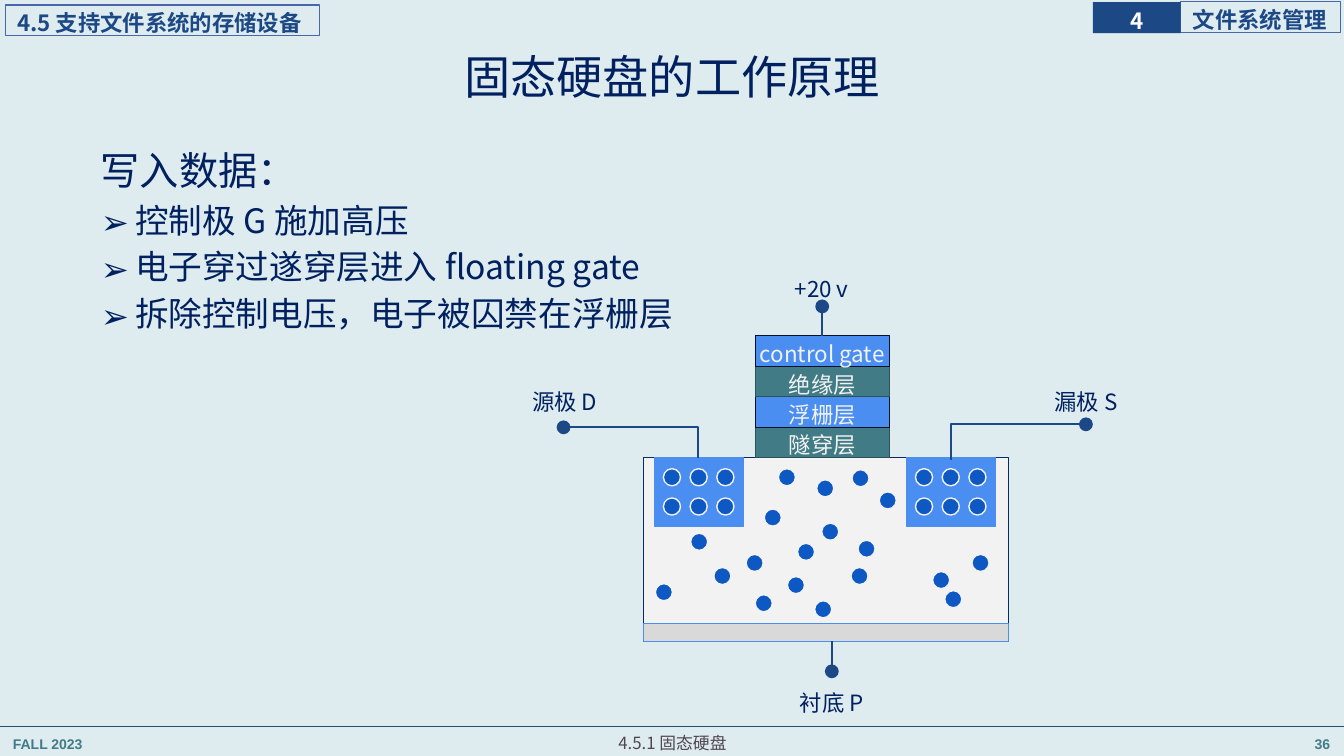
"""Build the slide on how a solid-state drive writes data."""
import itertools

import pptx
import pptx.dml.color
import pptx.enum.shapes
import pptx.enum.text
import pptx.oxml
import pptx.oxml.ns
import pptx.util

SHAPE = pptx.enum.shapes.MSO_SHAPE
CONNECTOR = pptx.enum.shapes.MSO_CONNECTOR
ALIGN = pptx.enum.text.PP_ALIGN
ANCHOR = pptx.enum.text.MSO_ANCHOR

THEME = {
    "background": "DEECEF", "ink": "002060", "navy": "1C4885", "white": "FFFFFF",
    "frame": "4A66AC", "rule": "234F77", "teal": "417B85", "teal_edge": "2B5259",
    "blue": "4A8EF2", "blue_edge": "031227", "pale": "F2F2F2", "body_edge": "072C62",
    "metal": "D9D9D9", "electron": "0E58C4", "topic": "504652",
    "cjk": "Noto Sans CJK SC", "latin": "Arial",
    "title": 33, "lead": 28, "bullet": 24, "label": 16, "small": 12, "footer": 10,
}
WIDTH, HEIGHT = 13.33, 7.5
MARGIN = 0.92

TITLE = "固态硬盘的工作原理"
LEAD = "写入数据："
STEPS = ["控制极 G 施加高压", "电子穿过遂穿层进入 floating gate", "拆除控制电压，电子被囚禁在浮栅层"]
SECTION = "4.5 支持文件系统的存储设备"
CHAPTER_NUMBER, CHAPTER = "4", "文件系统管理"
TOPIC = "4.5.1 固态硬盘"
FOOTERS = [("FALL 2023", 0.03, ALIGN.LEFT), ("36", 10.51, ALIGN.RIGHT)]
LAYERS = [("control gate", "blue"), ("绝缘层", "teal"), ("浮栅层", "blue"), ("隧穿层", "teal")]
TERMINALS = [("+20 v", 8.15, 2.63), ("源极 D", 5.6, 3.75), ("漏极 S", 10.77, 3.75), ("衬底 P", 8.25, 6.73)]
ELECTRONS = [
    (7.49, 5.9), (6.5, 5.79), (8.08, 5.96), (9.37, 5.86), (9.25, 5.67), (9.64, 5.5),
    (8.72, 4.88), (8.45, 4.66), (8.1, 4.76), (7.72, 4.65), (7.58, 5.05), (6.85, 5.29),
    (7.08, 5.63), (7.4, 5.5), (7.81, 5.72), (8.44, 5.63), (8.51, 5.36), (8.15, 5.19), (7.91, 5.39),
]

BODY = (6.38, 4.54, 3.62, 1.82)
METAL_HEIGHT = 0.17
ELECTRODE = (0.88, 0.68)
ELECTRODE_LEFTS = (6.49, 8.99)
ELECTRON_SIZE, ELECTRON_PITCH = 0.17, (0.265, 0.29)
LAYER_LEFT, LAYER_WIDTH, LAYER_HEIGHT = 7.49, 1.33, 0.3025

inch, point = pptx.util.Inches, pptx.util.Pt
deck = pptx.Presentation()
deck.slide_width, deck.slide_height = inch(WIDTH), inch(HEIGHT)
slide = deck.slides.add_slide(deck.slide_layouts[6])


def color(role):
    return pptx.dml.color.RGBColor.from_string(THEME[role])


def element(tag, **values):
    node = pptx.oxml.parse_xml(f"<a:{tag} {pptx.oxml.ns.nsdecls('a')}/>")
    for key, value in values.items():
        node.set(key, str(value))
    return node


def apply(target, formats):
    for key, value in formats.items():
        setattr(target, key, value)


def write(holder, lines, role, size, align=ALIGN.LEFT, anchor=ANCHOR.TOP, insets=(0.1, 0.05, 0.1, 0.05),
          font="cjk", bold=False, wrap=True, spacing=1.2, before=None, after=None):
    frame = holder.text_frame
    left, top, right, bottom = map(inch, insets)
    apply(frame, {"word_wrap": wrap, "vertical_anchor": anchor, "margin_left": left,
                  "margin_top": top, "margin_right": right, "margin_bottom": bottom})
    frame.text = "\n".join(lines)
    gap = THEME[size] * 0.1
    for paragraph in frame.paragraphs:
        apply(paragraph, {"alignment": align, "line_spacing": spacing,
                          "space_before": point(gap if before is None else before),
                          "space_after": point(gap if after is None else after)})
        run = paragraph.runs[0]
        apply(run.font, {"name": THEME[font], "size": point(THEME[size]), "bold": bold})
        run.font.color.rgb = color(role)
        run.font._element.append(element("ea", typeface=THEME[font]))
    return frame


def draw(box, fill=None, edge=None, kind=SHAPE.RECTANGLE, weight=0.75, parent=slide):
    shape = parent.shapes.add_shape(kind, *map(inch, box))
    shape.shadow.inherit = False
    if fill:
        shape.fill.solid()
        shape.fill.fore_color.rgb = color(fill)
    else:
        shape.fill.background()
    if edge:
        shape.line.color.rgb = color(edge)
        shape.line.width = point(weight)
    else:
        shape.line.fill.background()
    return shape


def note(box, lines, role, size, **formats):
    return write(slide.shapes.add_textbox(*map(inch, box)), lines, role, size, **formats)


def electron(left, top, parent=slide):
    draw((left, top, ELECTRON_SIZE, ELECTRON_SIZE), "electron", "pale", SHAPE.OVAL, 1, parent)


def wire(start, end, role="navy", weight=1.25, kind=CONNECTOR.STRAIGHT, bend=None, terminal=True):
    line = slide.shapes.add_connector(kind, *map(inch, (*start, *end)))
    line.line.color.rgb = color(role)
    line.line.width = point(weight)
    if terminal:
        line.line._get_or_add_ln().append(element("tailEnd", type="oval", w="lg", len="lg"))
    line._element.spPr.append(element("effectLst"))
    if bend is not None:
        guides = line._element.spPr.prstGeom.get_or_add_avLst()
        guides.append(element("gd", name="adj1", fmla=f"val {bend}"))
    return line


slide.background.fill.solid()
slide.background.fill.fore_color.rgb = color("background")

for words, left, align in FOOTERS:
    note((left, 7.21, 2.78, 0.31), [words], "teal", "footer", align=align, font="latin", bold=True)
heading = {"anchor": ANCHOR.MIDDLE, "insets": (0.12, 0, 0, 0), "bold": True}
write(draw((11.71, 0.02, 1.59, 0.3), edge="frame"), [CHAPTER], "navy", "label", align=ALIGN.JUSTIFY, **heading)
write(draw((10.84, 0.02, 0.87, 0.31), "navy"), [CHAPTER_NUMBER], "white", "label",
      align=ALIGN.CENTER, **{**heading, "insets": (0, 0, 0, 0), "wrap": False})
write(draw((0.05, 0.05, 3.12, 0.3), edge="frame"), [SECTION], "navy", "label", **heading)
wire((0, 7.21), (WIDTH, 7.21), "rule", 0.5, terminal=False)

prose = {"insets": (0.08, 0.04, 0.08, 0.04), "spacing": 0.9, "after": 0}
column = WIDTH - 2 * MARGIN
points = note((MARGIN, 1.46, column, 5.64), [LEAD, *STEPS], "ink", "lead", before=7.5, **prose)
for step in points.paragraphs[1:]:
    step.runs[0].font.size = point(THEME["bullet"])
    properties = step._p.get_or_add_pPr()
    properties.set("marL", str(inch(0.34)))
    properties.set("indent", str(-inch(0.34)))
    properties.append(element("buFont", typeface=THEME["cjk"]))
    properties.append(element("buChar", char="➢"))
note((MARGIN, 0.4, column, 0.77), [TITLE], "ink", "title", align=ALIGN.CENTER,
     anchor=ANCHOR.MIDDLE, before=0, **prose)
note((1.67, 7.18, 10, 0.32), [TOPIC], "topic", "small", align=ALIGN.CENTER)

body_left, body_top, body_width, body_height = BODY
body_bottom = body_top + body_height
draw(BODY, "pale", "body_edge")
draw((body_left, body_bottom - METAL_HEIGHT, body_width, METAL_HEIGHT), "metal", "blue")
for left in ELECTRODE_LEFTS:
    electrode = slide.shapes.add_group_shape()
    draw((left, body_top, *ELECTRODE), "blue", "blue", parent=electrode)
    for row, place in itertools.product(range(2), range(3)):
        electron(left + 0.09 + place * ELECTRON_PITCH[0], body_top + 0.11 + row * ELECTRON_PITCH[1], electrode)
for spot in ELECTRONS:
    electron(*spot)

stack_top = body_top - len(LAYERS) * LAYER_HEIGHT
layers = []
for level, (words, role) in reversed(list(enumerate(LAYERS))):
    layer = draw((LAYER_LEFT, stack_top + level * LAYER_HEIGHT, LAYER_WIDTH, LAYER_HEIGHT), role, f"{role}_edge")
    write(layer, [words], "pale", "label", align=ALIGN.CENTER, anchor=ANCHOR.MIDDLE, insets=(0, 0, 0, 0))
    layers.append(layer)

gate_middle = LAYER_LEFT + LAYER_WIDTH / 2
wire((gate_middle, stack_top), (gate_middle, 3.04)).begin_connect(layers[-1], 0)
wire((9.42, 4.56), (10.77, 4.21), kind=CONNECTOR.ELBOW, bend=900)
wire((6.93, 4.54), (5.59, 4.24), kind=CONNECTOR.ELBOW, bend=300)
wire((8.25, body_bottom), (8.25, 6.66))
for words, middle, top in TERMINALS:
    note((middle - 0.6, top, 1.2, 0.4), [words], "ink", "label", align=ALIGN.CENTER)

deck.save("out.pptx")
